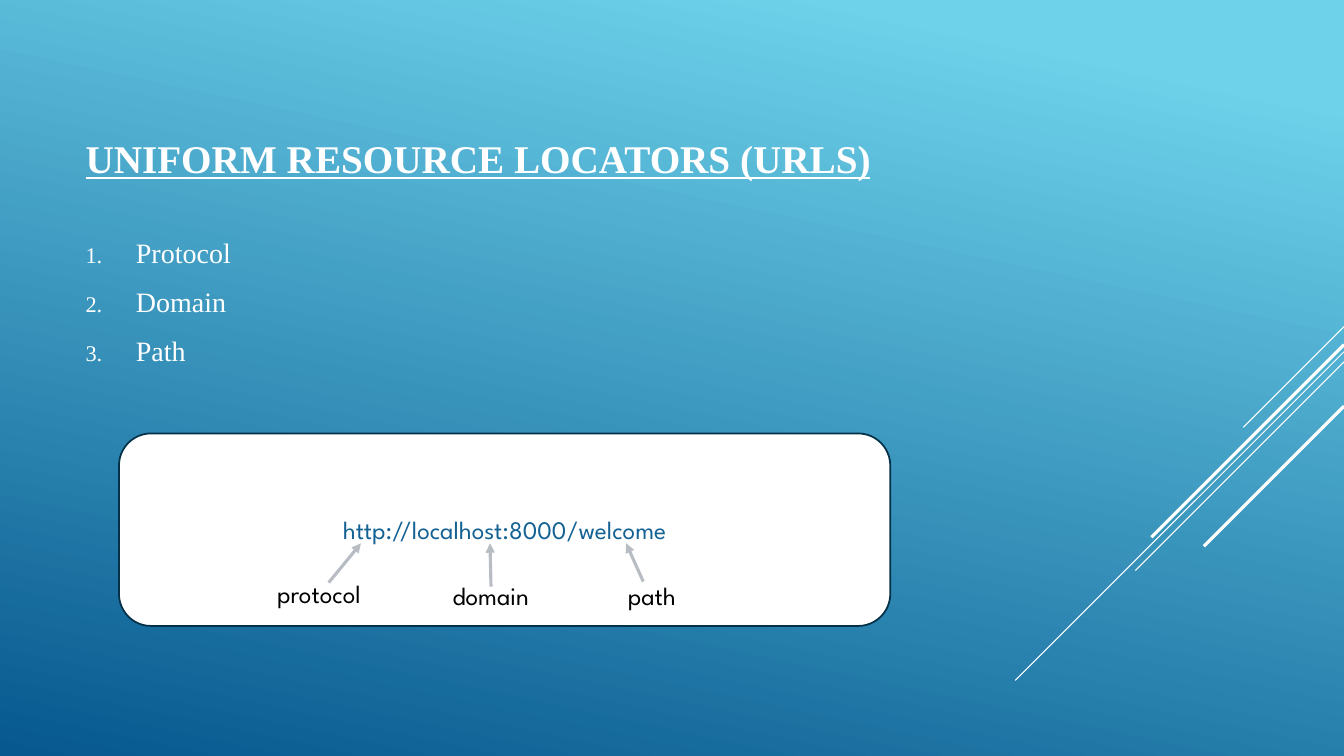
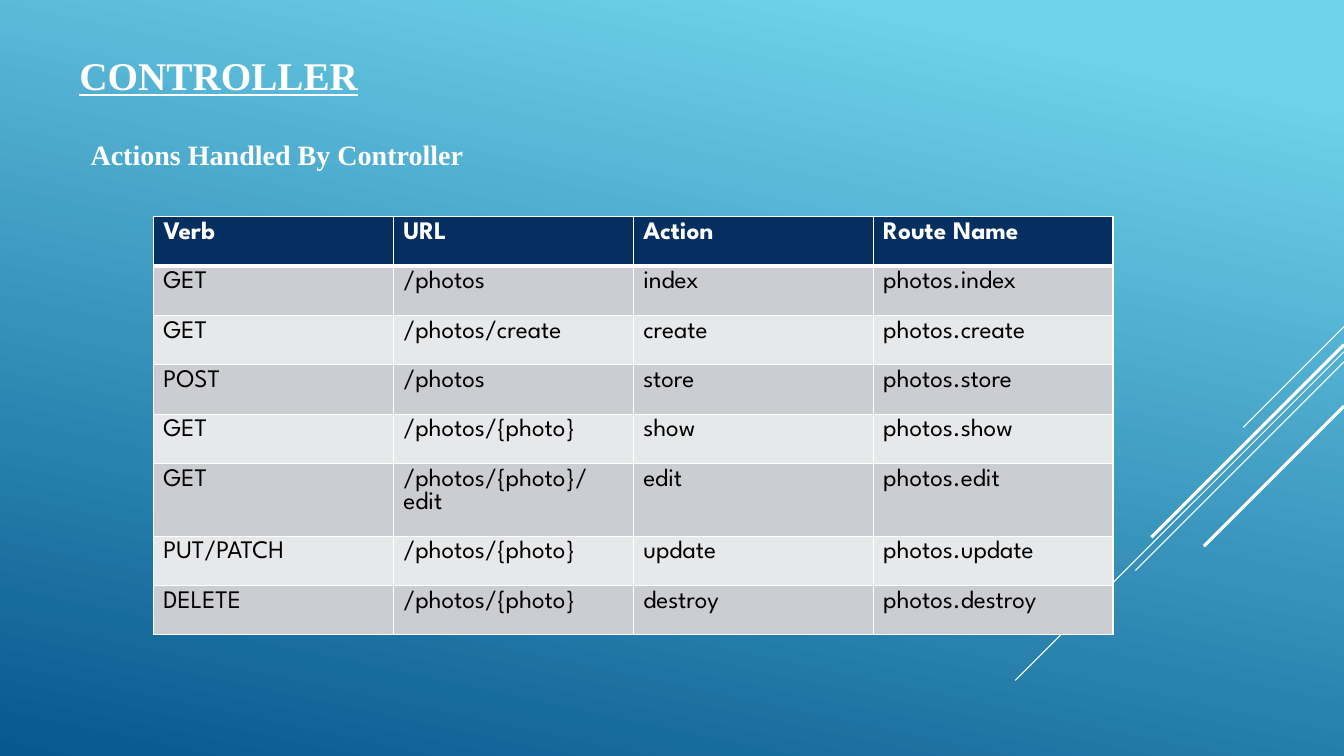
from dataclasses import dataclass

from pptx import Presentation
from pptx import util as u
from pptx.dml.color import RGBColor
from pptx.enum import shapes, text
from pptx.oxml import parse_xml
from pptx.oxml.ns import nsdecls, qn


@dataclass(frozen=True)
class Theme:
    sky: str = "6ED2EB"
    deep: str = "06588E"
    white: str = "FFFFFF"
    black: str = "000000"
    edge: str = "043148"
    link: str = "146194"
    arrow: str = "89919C"
    navy: str = "052F61"
    bands: tuple = ("CCCDD2", "E7E8EA")
    serif: str = "Times New Roman"
    sans: str = "League Spartan"
    title: int = 28
    body: int = 20
    note: int = 18


T = Theme()
PX = 9144  # one px is a hundredth of an inch
WIDE, HIGH = 1333, 750

# Content: points are x, y and boxes are left, top, width, height
RAYS = [  # right-hand y, drop to the lower left, weight
    (324, 100, 0.75), (349, 326, 0.75), (359, 207, 0.75),
    (342, 191, 2.25), (403, 139, 2.25),
]
URL = {
    "title": "UNIFORM RESOURCE LOCATORS (URLS)",
    "parts": ["Protocol", "Domain", "Path"],
    "sample": "http://localhost:8000/welcome",
    "labels": [  # word, box, arrow start, arrow end
        ("protocol", (265, 569, 141, 40), (326, 578), (358, 539)),
        ("domain", (439, 571, 141, 40), (487, 582), (486, 539)),
        ("path", (613, 571, 108, 40), (638, 577), (621, 539)),
    ],
}
CTRL = {
    "title": "CONTROLLER",
    "sub": "Actions Handled By Controller",
    "rows": [
        ("Verb", "URL", "Action", "Route Name"),
        ("GET", "/photos", "index", "photos.index"),
        ("GET", "/photos/create", "create", "photos.create"),
        ("POST", "/photos", "store", "photos.store"),
        ("GET", "/photos/{photo}", "show", "photos.show"),
        ("GET", "/photos/{photo}/edit", "edit", "photos.edit"),
        ("PUT/PATCH", "/photos/{photo}", "update", "photos.update"),
        ("DELETE", "/photos/{photo}", "destroy", "photos.destroy"),
    ],
}
COL, ROW, TALL = 238, 49, 72


# Helpers
def px(*nums):
    return [u.Emu(n * PX) for n in nums]


def rgb(code):
    return RGBColor.from_string(code)


def xml(tag, attrs="", inner=""):
    return parse_xml(f"<a:{tag} {nsdecls('a')} {attrs}>{inner}</a:{tag}>")


def color(code):
    return f'<a:srgbClr val="{code}"/>'


def write(para, words, size, hue=T.white, face=T.serif, bold=False, under=False):
    run = para.add_run()
    run.text = words
    font = run.font
    font.size, font.name = u.Pt(size), face
    font.bold, font.underline = bold, under
    font.color.rgb = rgb(hue)


def box(slide, area, anchor=text.MSO_ANCHOR.TOP):
    frame = slide.shapes.add_textbox(*px(*area)).text_frame
    frame.word_wrap = True
    frame.vertical_anchor = anchor
    return frame


def line(slide, start, end, hue, weight):
    link = slide.shapes.add_connector(
        shapes.MSO_CONNECTOR.STRAIGHT, *px(*start, *end))
    link.line.color.rgb = rgb(hue)
    link.line.width = u.Pt(weight)
    props = link._element.spPr
    props.append(xml("effectLst"))
    return props.find(qn("a:ln"))


def arrow(slide, start, end):
    ln = line(slide, start, end, T.arrow, 2.25)
    ln.find(".//" + qn("a:srgbClr")).append(xml("alpha", 'val="60000"'))
    ln.append(xml("tailEnd", 'type="triangle"'))


def space(para):
    para.space_before, para.space_after = u.Pt(5), u.Pt(6)


def number(para):
    props = para._p.get_or_add_pPr()
    indent = u.Inches(0.5)
    props.set("marL", str(indent))
    props.set("indent", str(-indent))
    props.append(xml("buClr", "", color(T.white)))
    props.append(xml("buSzPct", 'val="80000"'))
    props.append(xml("buAutoNum", 'type="arabicPeriod"'))


def border(cell, head):
    props = cell._tc.get_or_add_tcPr()
    sides = {"lnL": 1, "lnR": 1, "lnT": 1, "lnB": 3 if head else 1}
    for spot, (tag, weight) in enumerate(sides.items()):
        fill = f"<a:solidFill>{color(T.white)}</a:solidFill>"
        props.insert(spot, xml(tag, f'w="{u.Pt(weight)}"', fill))


# Shared look
def backdrop(deck):
    fill = deck.slide_master.background.fill
    fill.gradient()
    fill.gradient_angle = 258
    stops = ((0.1, T.sky), (1, T.deep))
    for stop, (place, hue) in zip(fill.gradient_stops, stops):
        stop.position = place
        stop.color.rgb = rgb(hue)


def page(deck, title, left, top):
    slide = deck.slides.add_slide(deck.slide_layouts[6])
    for y, drop, weight in RAYS:
        line(slide, (WIDE, y), (WIDE - drop, y + drop), T.white, weight)
    frame = box(slide, (left, top, 933, 64), text.MSO_ANCHOR.BOTTOM)
    write(frame.paragraphs[0], title, T.title, bold=True, under=True)
    return slide


# Slides
def urls(deck):
    slide = page(deck, URL["title"], 75, 121)
    frame = box(slide, (75, 229, 933, 370))
    for i, part in enumerate(URL["parts"]):
        para = frame.add_paragraph() if i else frame.paragraphs[0]
        space(para)
        number(para)
        write(para, part, T.body)

    card = slide.shapes.add_shape(
        shapes.MSO_SHAPE.ROUNDED_RECTANGLE, *px(118, 430, 765, 191))
    card.shadow.inherit = False
    card.fill.solid()
    card.fill.fore_color.rgb = rgb(T.white)
    card.line.color.rgb = rgb(T.edge)
    card.line.width = u.Pt(1.25)
    card.text_frame.vertical_anchor = text.MSO_ANCHOR.MIDDLE
    para = card.text_frame.paragraphs[0]
    para.alignment = text.PP_ALIGN.CENTER
    write(para, URL["sample"], T.note, T.link, T.sans)

    for word, area, start, end in URL["labels"]:
        arrow(slide, start, end)
        write(box(slide, area).paragraphs[0], word, T.note, T.black, T.sans)


def controller(deck):
    slide = page(deck, CTRL["title"], 69, 39)
    para = box(slide, (80, 131, 933, 572)).paragraphs[0]
    space(para)
    write(para, CTRL["sub"], T.body, bold=True)

    rows = CTRL["rows"]
    highs = [TALL if row[1].endswith("/edit") else ROW for row in rows]
    cols = len(rows[0])
    area = px(152, 215, COL * cols, sum(highs))
    table = slide.shapes.add_table(len(rows), cols, *area).table
    for col in table.columns:
        col.width = px(COL)[0]
    for r, row in enumerate(rows):
        table.rows[r].height = px(highs[r])[0]
        head = r == 0
        for c, words in enumerate(row):
            cell = table.cell(r, c)
            cell.fill.solid()
            cell.fill.fore_color.rgb = rgb(T.navy if head else T.bands[(r - 1) % 2])
            border(cell, head)
            write(cell.text_frame.paragraphs[0], words, T.note,
                  T.white if head else T.black, T.sans, bold=head)


def main():
    deck = Presentation()
    deck.slide_width, deck.slide_height = px(WIDE, HIGH)
    backdrop(deck)
    urls(deck)
    controller(deck)
    deck.save("out.pptx")


if __name__ == "__main__":
    main()
